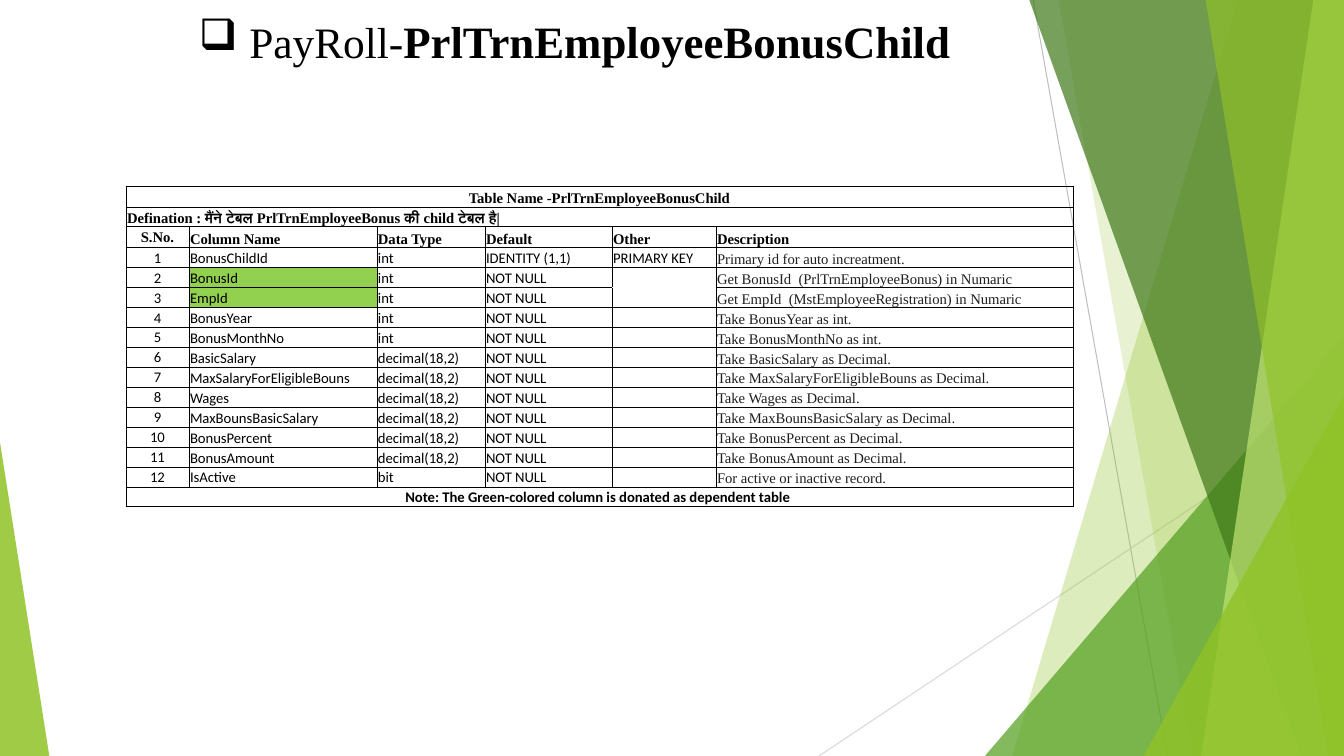
from dataclasses import dataclass
from typing import NamedTuple

from lxml.etree import SubElement
from pptx import Presentation
from pptx.dml.color import RGBColor
from pptx.enum.shapes import MSO_CONNECTOR, MSO_SHAPE
from pptx.enum.text import MSO_ANCHOR as Anchor, MSO_AUTO_SIZE, PP_ALIGN as Align
from pptx.oxml.ns import qn
from pptx.util import Pt

PX = 9525  # EMU per px, 96 px to the inch
WIDTH, HEIGHT = 1280, 720


@dataclass(frozen=True)
class Theme:
    black: str = "000000"
    ink: str = "1F1F1F"
    lime: str = "90C226"
    green: str = "54A021"
    forest: str = "3F7819"
    pale: str = "C0E474"
    dependent: str = "92D050"
    grey: str = "BFBFBF"
    light_grey: str = "D9D9D9"
    serif: str = "Times New Roman"
    sans: str = "Calibri"
    title_size: float = 31
    title_bold_size: float = 32
    table_size: float = 10.5
    hairline: float = 0.75
    border: float = 0.5


THEME = Theme()


class Ray(NamedTuple):
    start: tuple[int, int]
    end: tuple[int, int]
    color: str


class Band(NamedTuple):
    """A strip from the top to the bottom edge, closed by the right slide edge."""
    top_x: int
    bottom_x: int
    color: str
    opacity: int


class Wedge(NamedTuple):
    """A right triangle on the bottom edge; apex is 0 for left, 1 for right."""
    left: int
    top: int
    width: int
    apex: int
    color: str
    opacity: int


class Field(NamedTuple):
    name: str
    data_type: str
    description: str
    default: str = "NOT NULL"
    other: str = ""
    dependent: bool = False


class Style(NamedTuple):
    font: str
    bold: bool = False
    color: str = THEME.black
    align: Align = Align.LEFT
    anchor: Anchor = Anchor.BOTTOM


RAYS = [
    Ray((984, 0), (1112, 720), THEME.grey),
    Ray((1280, 387), (780, 720), THEME.light_grey),
]
DECOR = [
    Band(1179, 964, THEME.lime, 30),
    Band(1008, 1136, THEME.lime, 20),
    Wedge(938, 320, 342, 1, THEME.green, 72),
    Band(980, 1239, THEME.forest, 70),
    Band(1251, 1144, THEME.pale, 70),
    Band(1148, 1265, THEME.lime, 65),
    Wedge(1089, 377, 191, 1, THEME.lime, 80),
    Wedge(0, 421, 47, 0, THEME.lime, 85),
]

HEADINGS = ["S.No.", "Column Name", "Data Type", "Default", "Other", "Description"]
COLUMN_WIDTHS = [60, 179, 103, 121, 99, 340]
OTHER_COLUMN = HEADINGS.index("Other")
FIELDS = [
    Field("BonusChildId", "int", "Primary id for auto increatment.", "IDENTITY (1,1)", "PRIMARY KEY"),
    Field("BonusId", "int", "Get BonusId  (PrlTrnEmployeeBonus) in Numaric", dependent=True),
    Field("EmpId", "int", "Get EmpId  (MstEmployeeRegistration) in Numaric", dependent=True),
    Field("BonusYear", "int", "Take BonusYear as int."),
    Field("BonusMonthNo", "int", "Take BonusMonthNo as int."),
    Field("BasicSalary", "decimal(18,2)", "Take BasicSalary as Decimal."),
    Field("MaxSalaryForEligibleBouns", "decimal(18,2)", "Take MaxSalaryForEligibleBouns as Decimal."),
    Field("Wages", "decimal(18,2)", "Take Wages as Decimal."),
    Field("MaxBounsBasicSalary", "decimal(18,2)", "Take MaxBounsBasicSalary as Decimal."),
    Field("BonusPercent", "decimal(18,2)", "Take BonusPercent as Decimal."),
    Field("BonusAmount", "decimal(18,2)", "Take BonusAmount as Decimal."),
    Field("IsActive", "bit", "For active or inactive record."),
]

HEADER = Style(THEME.serif, bold=True)
BODY = Style(THEME.sans)
NUMBER = BODY._replace(align=Align.CENTER, anchor=Anchor.MIDDLE)
DESCRIPTION = Style(THEME.serif, color=THEME.ink)
ROW_STYLES = [NUMBER, BODY, BODY, BODY, BODY, DESCRIPTION]


def rgb(color: str) -> RGBColor:
    return RGBColor.from_string(color)


def paint(shape, color: str, opacity: int) -> None:
    shape.shadow.inherit = False
    shape.line.fill.background()
    shape.fill.solid()
    shape.fill.fore_color.rgb = rgb(color)
    tint = next(shape.element.spPr.iter(qn("a:srgbClr")))
    SubElement(tint, qn("a:alpha"), val=str(opacity * 1000))


def draw_ray(slide, ray: Ray) -> None:
    ends = [value * PX for value in ray.start + ray.end]
    connector = slide.shapes.add_connector(MSO_CONNECTOR.STRAIGHT, *ends)
    connector.line.color.rgb = rgb(ray.color)
    connector.line.width = Pt(THEME.hairline)
    SubElement(connector.element.spPr, qn("a:effectLst"))


def draw_band(slide, band: Band) -> None:
    outline = slide.shapes.build_freeform(band.top_x, -1, scale=PX)
    outline.add_line_segments([(WIDTH, -1), (WIDTH, HEIGHT), (band.bottom_x, HEIGHT)])
    paint(outline.convert_to_shape(), band.color, band.opacity)


def draw_wedge(slide, wedge: Wedge) -> None:
    triangle = slide.shapes.add_shape(
        MSO_SHAPE.ISOSCELES_TRIANGLE, wedge.left * PX, wedge.top * PX,
        wedge.width * PX, (HEIGHT - wedge.top) * PX)
    triangle.adjustments[0] = wedge.apex
    paint(triangle, wedge.color, wedge.opacity)


def draw_title(slide) -> None:
    frame = slide.shapes.add_textbox(150 * PX, 8 * PX, 795 * PX, 61 * PX).text_frame
    frame.word_wrap = True
    frame.auto_size = MSO_AUTO_SIZE.SHAPE_TO_FIT_TEXT
    title = frame.paragraphs[0]
    title.alignment = Align.CENTER
    properties = title._p.get_or_add_pPr()
    properties.set("marL", str(48 * PX))
    properties.set("indent", str(-48 * PX))
    SubElement(properties, qn("a:buChar"), char="❑")
    title.font.name = THEME.serif
    title.font.color.rgb = rgb(THEME.black)
    module = title.add_run()
    module.text = "PayRoll-"
    module.font.size = Pt(THEME.title_size)
    table_name = title.add_run()
    table_name.text = "PrlTrnEmployeeBonusChild"
    table_name.font.size = Pt(THEME.title_bold_size)
    table_name.font.bold = True


def add_borders(cell, sides: str) -> None:
    for side in sides:
        line = SubElement(cell._tc.get_or_add_tcPr(), qn(f"a:ln{side}"), w=str(Pt(THEME.border)))
        SubElement(SubElement(line, qn("a:solidFill")), qn("a:srgbClr"), val=THEME.black)


def write_cell(cell, text: str, style: Style) -> None:
    cell.margin_left = cell.margin_right = cell.margin_top = PX
    cell.margin_bottom = 0
    cell.vertical_anchor = style.anchor
    paragraph = cell.text_frame.paragraphs[0]
    paragraph.alignment = style.align
    paragraph.font.name = style.font
    paragraph.font.size = Pt(THEME.table_size)
    paragraph.font.bold = style.bold
    paragraph.font.color.rgb = rgb(style.color)
    if text:
        paragraph.add_run().text = text
    else:
        SubElement(paragraph._p, qn("a:endParaRPr"), sz=str(int(THEME.table_size * 100)))


def draw_table(slide) -> None:
    centered = HEADER._replace(align=Align.CENTER)
    banner = [("Table Name -PrlTrnEmployeeBonusChild", centered)]
    definition = [("Defination : मैंने टेबल PrlTrnEmployeeBonus की child टेबल है|", HEADER)]
    note = [("Note: The Green-colored column is donated as dependent table ",
             centered._replace(font=THEME.sans))]
    headings = [(text, HEADER) for text in HEADINGS]
    headings[0] = (HEADINGS[0], centered._replace(anchor=Anchor.MIDDLE))
    records = [
        list(zip((str(number), f.name, f.data_type, f.default, f.other, f.description), ROW_STYLES))
        for number, f in enumerate(FIELDS, 1)]
    rows = [banner, definition, headings, *records, note]
    dependent_rows = [3 + index for index, f in enumerate(FIELDS) if f.dependent]
    open_sides = {dependent_rows[0]: "LRT", dependent_rows[-1]: "LRB"}

    heights = [20 if row in (banner, headings) else 19 for row in rows]
    table = slide.shapes.add_table(
        len(rows), len(HEADINGS), 120 * PX, 177 * PX,
        sum(COLUMN_WIDTHS) * PX, sum(heights) * PX).table
    table.first_row = table.horz_banding = False
    for column, width in zip(table.columns, COLUMN_WIDTHS):
        column.width = width * PX
    for r, (row, height) in enumerate(zip(rows, heights)):
        table.rows[r].height = height * PX
        if len(row) == 1:
            table.cell(r, 0).merge(table.cell(r, len(HEADINGS) - 1))
        for c in range(len(HEADINGS)):
            cell = table.cell(r, c)
            add_borders(cell, open_sides.get(r, "LRTB") if c == OTHER_COLUMN else "LRTB")
            if r in dependent_rows and c == 1:
                cell.fill.solid()
                cell.fill.fore_color.rgb = rgb(THEME.dependent)
            else:
                cell.fill.background()
            write_cell(cell, *(row[c] if c < len(row) else ("", BODY)))


def main() -> None:
    deck = Presentation()
    deck.slide_width, deck.slide_height = WIDTH * PX, HEIGHT * PX
    slide = deck.slides.add_slide(deck.slide_layouts[6])
    for ray in RAYS:
        draw_ray(slide, ray)
    for piece in DECOR:
        if isinstance(piece, Band):
            draw_band(slide, piece)
        else:
            draw_wedge(slide, piece)
    draw_title(slide)
    draw_table(slide)
    deck.save("out.pptx")


if __name__ == "__main__":
    main()
